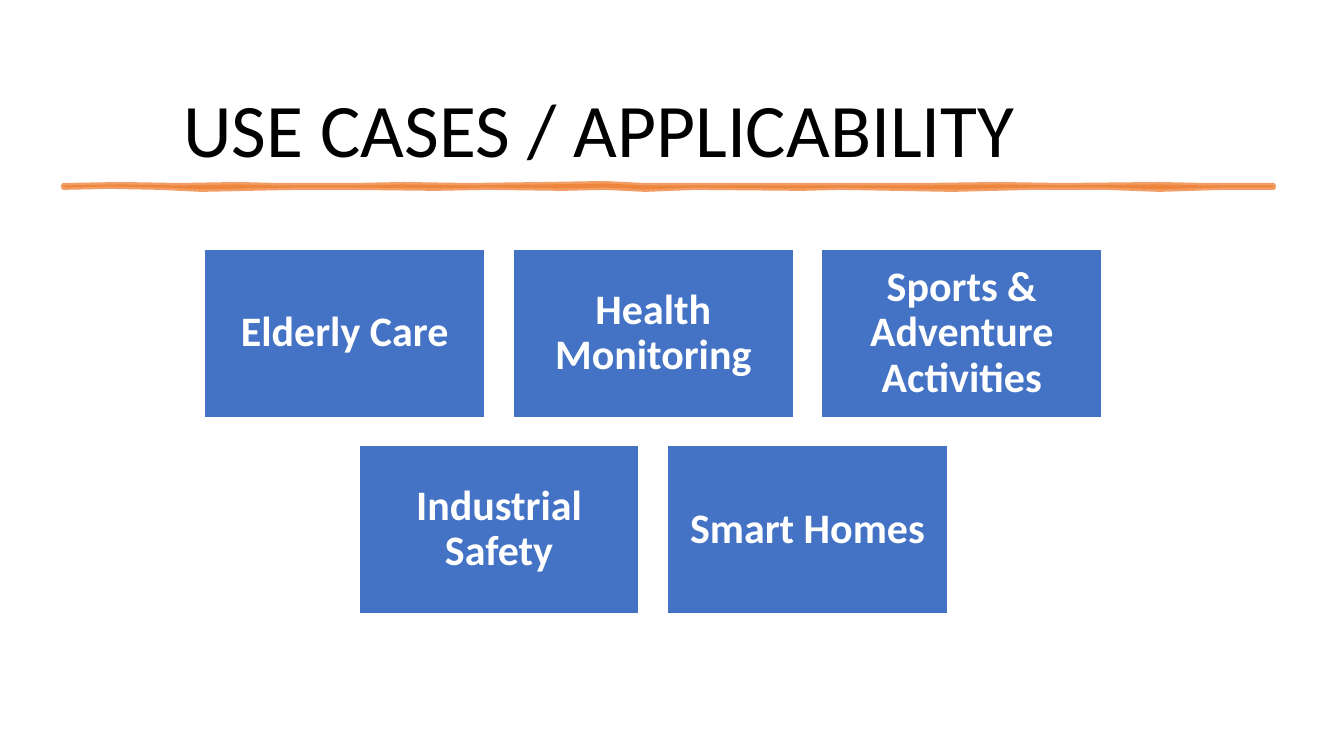
from lxml import etree
from pptx import Presentation
from pptx import util as u
from pptx.dml import color
from pptx.enum import shapes, text
from pptx.oxml import ns

COLORS = {"ink": "000000", "paper": "FFFFFF", "card": "4472C4", "brush": "ED7D31"}


def px(length):
    return u.Emu(length * 9144)


class SlideKit:
    font = "Calibri"

    def __init__(self, slide):
        self.slide = slide

    def paint(self, target, name):
        target.solid()
        target.fore_color.rgb = color.RGBColor.from_string(COLORS[name])

    def add_words(self, shape, wording, size, name, anchor, align, inset_x, inset_y, bold=False):
        frame = shape.text_frame
        frame.word_wrap = True
        frame.vertical_anchor = anchor
        frame.margin_left = frame.margin_right = px(inset_x)
        frame.margin_top = frame.margin_bottom = px(inset_y)
        paragraph = frame.paragraphs[0]
        paragraph.alignment = align
        paragraph.line_spacing = 0.9
        run = paragraph.add_run()
        run.text = wording
        run.font.name = self.font
        run.font.size = u.Pt(size)
        run.font.bold = bold
        run.font.color.rgb = color.RGBColor.from_string(COLORS[name])

    def title(self, wording, left, top, width, height):
        heading = self.slide.shapes.add_textbox(*map(px, (left, top, width, height)))
        self.add_words(heading, wording, 54, "ink", text.MSO_ANCHOR.BOTTOM,
                       text.PP_ALIGN.LEFT, 10, 5)

    def brush_stroke(self, upper_edge, lower_edge, alpha):
        outline = [(px(x), px(y)) for x, y in upper_edge + lower_edge[::-1]]
        builder = self.slide.shapes.build_freeform(*outline[0])
        builder.add_line_segments(outline[1:])
        stroke = builder.convert_to_shape()
        stroke.shadow.inherit = False
        self.paint(stroke.fill, "brush")
        stroke.line.width = u.Pt(3.5)
        self.paint(stroke.line.fill, "brush")
        properties = stroke.element.spPr
        for rgb in properties.iter(ns.qn("a:srgbClr")):
            etree.SubElement(rgb, ns.qn("a:alpha"), val=str(alpha * 1000))
        etree.SubElement(properties.find(ns.qn("a:ln")), ns.qn("a:round"))

    def card(self, wording, left, top, width, height):
        card = self.slide.shapes.add_shape(
            shapes.MSO_SHAPE.RECTANGLE, *map(px, (left, top, width, height)))
        card.shadow.inherit = False
        self.paint(card.fill, "card")
        self.paint(card.line.fill, "paper")
        card.line.width = u.Pt(1)
        self.add_words(card, wording, 30, "paper", text.MSO_ANCHOR.MIDDLE,
                       text.PP_ALIGN.CENTER, 12, 12, bold=True)

    def card_rows(self, rows, center, top, width, height, gap):
        for row_index, row in enumerate(rows):
            left = center - (len(row) * (width + gap) - gap) // 2
            for column, wording in enumerate(row):
                self.card(wording, left + column * (width + gap),
                          top + row_index * (height + gap), width, height)


def main():
    deck = Presentation()
    deck.slide_width, deck.slide_height = px(1333), px(750)
    kit = SlideKit(deck.slides.add_slide(deck.slide_layouts[6]))
    kit.title("USE CASES / APPLICABILITY", 172, 20, 964, 157)
    kit.brush_stroke(
        [(63, 184), (120, 183), (177, 184), (236, 183), (276, 184), (351, 184),
         (400, 183), (465, 184), (540, 183), (600, 182), (639, 184), (714, 184),
         (852, 184), (915, 184), (990, 183), (1053, 184), (1150, 183), (1194, 184),
         (1263, 184)],
        [(63, 186), (110, 185), (159, 186), (200, 188), (246, 187), (294, 186),
         (345, 186), (432, 187), (483, 186), (558, 187), (600, 186), (640, 188),
         (690, 186), (795, 187), (834, 186), (945, 188), (1023, 186), (1098, 186),
         (1150, 188), (1212, 186), (1263, 186)],
        alpha=75)
    kit.card_rows(
        [["Elderly Care", "Health Monitoring", "Sports & Adventure Activities"],
         ["Industrial Safety", "Smart Homes"]],
        center=648, top=247, width=278, height=167, gap=28)
    deck.save("out.pptx")


if __name__ == "__main__":
    main()
